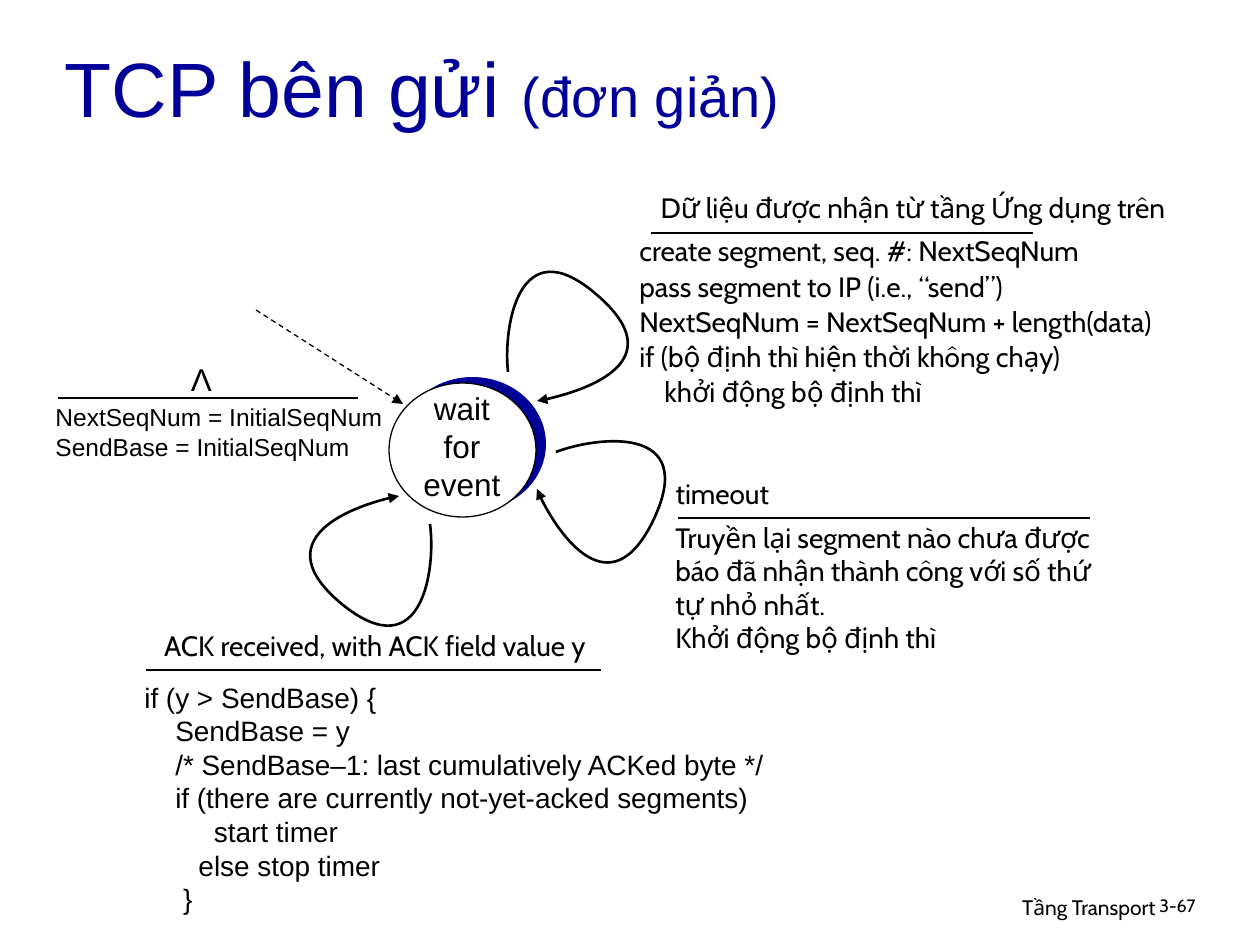
import lxml.etree
import pptx
import pptx.dml.color
import pptx.enum.dml
import pptx.enum.shapes
import pptx.enum.text
import pptx.oxml.ns
import pptx.util

PX = 914400 / 126
ALIGN = pptx.enum.text.PP_ALIGN
ANCHOR = pptx.enum.text.MSO_ANCHOR
qn = pptx.oxml.ns.qn


class Theme:
    navy = pptx.dml.color.RGBColor(0x00, 0x00, 0x99)
    black = pptx.dml.color.RGBColor(0, 0, 0)
    white = pptx.dml.color.RGBColor(255, 255, 255)
    sans, body = "Arial", "Cabin"
    title, subtitle, state, label, init, footer, number = 44, 32, 18, 16, 14, 12, 10.2
    thin, thick = 0.75, 1.5


def add_text(box, lines, size, font, align=ALIGN.LEFT, spacing=None):
    """Only left-aligned text wraps; centred labels keep to one line each."""
    tb = slide.shapes.add_textbox(*[round(v * PX) for v in box])
    tf = tb.text_frame
    tf.word_wrap = align != ALIGN.CENTER
    tf.text = "\n".join(lines)
    for p in tf.paragraphs:
        p.alignment = align
        p.line_spacing = spacing
        for r in p.runs:
            r.font.size = pptx.util.Pt(size)
            r.font.name = font
            r.font.color.rgb = Theme.black


def style_line(sp, width, arrow=False):
    sp.line.color.rgb = Theme.black
    sp.line.width = pptx.util.Pt(width)
    props = sp._element.spPr
    if arrow:
        lxml.etree.SubElement(props.find(qn("a:ln")), qn("a:tailEnd"), type="triangle")
    if props.find(qn("a:effectLst")) is None:
        lxml.etree.SubElement(props, qn("a:effectLst"))


prs = pptx.Presentation()
prs.slide_width, prs.slide_height = round(1260 * PX), round(945 * PX)
slide = prs.slides.add_slide(prs.slide_layouts[5])

# Title
title = slide.shapes.title
title.left, title.top, title.width, title.height = [round(v * PX) for v in (52, 25, 1066, 123)]
tf = title.text_frame
tf.auto_size = pptx.enum.text.MSO_AUTO_SIZE.NONE
tf.vertical_anchor = ANCHOR.MIDDLE
p = tf.paragraphs[0]
p.alignment = ALIGN.LEFT
for text, size in (("TCP bên gửi ", Theme.title), ("(đơn giản)", Theme.subtitle)):
    r = p.add_run()
    r.text = text
    r.font.size = pptx.util.Pt(size)
    r.font.name = Theme.sans
    r.font.color.rgb = Theme.navy

# Footer
add_text((769, 888, 399, 39), ["Tầng Transport"], Theme.footer, Theme.body, ALIGN.RIGHT)
add_text((1147, 891, 93, 38), ["3-67"], Theme.number, Theme.body, spacing=0.9)

# State circle over its offset backing
for left, top, fill in ((399, 377, Theme.navy), (389, 383, Theme.white)):
    sp = slide.shapes.add_shape(pptx.enum.shapes.MSO_SHAPE.OVAL,
                                *[round(v * PX) for v in (left, top, 147, 134)])
    sp.shadow.inherit = False
    sp.fill.solid()
    sp.fill.fore_color.rgb = fill
    if fill == Theme.white:
        style_line(sp, Theme.thin)
    else:
        sp.line.fill.background()
add_text((411, 383, 102, 126), ["wait", "for", "event"], Theme.state, Theme.sans, ALIGN.CENTER)

# Event labels, each above its rule
for box, text, size, font in (
    ((178, 354, 47, 50), "Λ", Theme.state, Theme.sans),
    ((627, 184, 572, 47), "Dữ liệu được nhận từ tầng Ứng dụng trên", Theme.label, Theme.body),
    ((658, 470, 129, 47), "timeout", Theme.label, Theme.body),
    ((126, 622, 498, 47), "ACK received, with ACK field value y", Theme.label, Theme.body),
):
    add_text(box, [text], size, font, ALIGN.CENTER)

# Actions, each below its rule
add_text((43, 396, 360, 72),
         ["NextSeqNum = InitialSeqNum", "SendBase = InitialSeqNum"], Theme.init, Theme.sans)
add_text((627, 226, 602, 223), [
    "create segment, seq. #: NextSeqNum",
    "pass segment to IP (i.e., “send”)",
    "NextSeqNum = NextSeqNum + length(data)",
    "if (bộ định thì hiện thời không chạy)",
    "    khởi động bộ định thì",
], Theme.label, Theme.body, spacing=1.05)
add_text((663, 514, 454, 147), [
    "Truyền lại segment nào chưa được báo đã nhận thành công với số thứ tự nhỏ nhất.",
    "Khởi động bộ định thì",
], Theme.label, Theme.body)
add_text((132, 674, 655, 248), [
    "if (y > SendBase) {",
    "    SendBase = y",
    "    /* SendBase–1: last cumulatively ACKed byte */",
    "    if (there are currently not-yet-acked segments)",
    "         start timer",
    "       else stop timer",
    "     }",
], Theme.label, Theme.sans)

# Rules and the dashed initial transition
for x1, y1, x2, y2 in ((58, 398, 358, 398), (651, 233, 1033, 233), (678, 518, 1090, 518),
                       (146, 670, 601, 670), (256, 310, 403, 404)):
    line = slide.shapes.add_connector(pptx.enum.shapes.MSO_CONNECTOR.STRAIGHT,
                                      *[round(v * PX) for v in (x1, y1, x2, y2)])
    initial = y1 != y2
    if initial:
        line.line.dash_style = pptx.enum.dml.MSO_LINE.DASH
    style_line(line, Theme.thin, arrow=initial)

# Self-transition loops: a start point, then two cubic curves of three points each
for start, *points in (
    ((508, 372), (503, 326), (519, 227), (597, 295), (675, 362), (570, 396), (537, 401)),
    ((556, 452), (599, 436), (698, 425), (654, 519), (610, 612), (548, 519), (537, 489)),
    ((430, 524), (436, 568), (423, 669), (343, 605), (262, 539), (367, 501), (399, 496)),
):
    builder = slide.shapes.build_freeform(*start, scale=PX)
    builder.add_line_segments(points, close=False)
    loop = builder.convert_to_shape()
    segments = list(loop._element.iter(qn("a:lnTo")))
    for i in range(0, len(segments), 3):
        curve = lxml.etree.SubElement(segments[i].getparent(), qn("a:cubicBezTo"))
        for segment in segments[i:i + 3]:
            curve.append(segment[0])
            segment.getparent().remove(segment)
    loop.shadow.inherit = False
    loop.fill.background()
    style_line(loop, Theme.thick, arrow=True)

prs.save("out.pptx")
